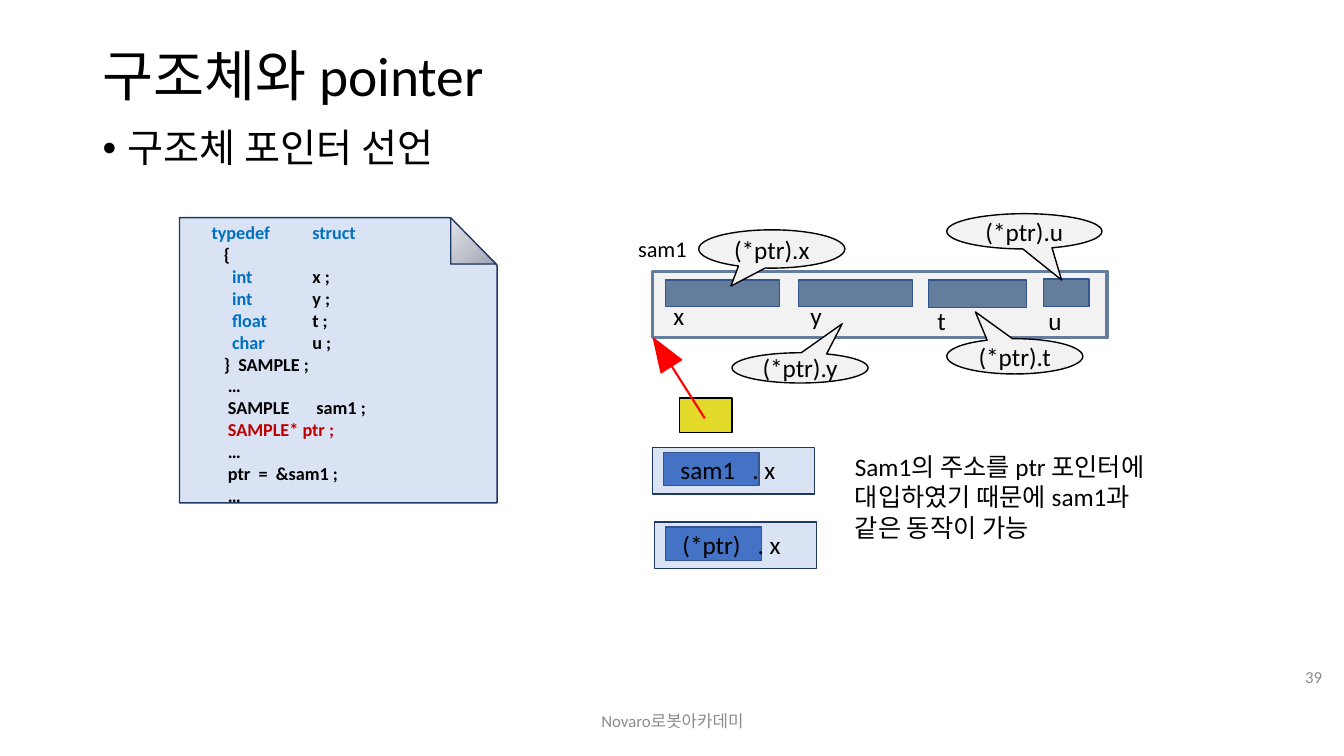
"""Build the slide on structures and pointers."""
from lxml.etree import SubElement
from pptx import Presentation
from pptx.dml.color import RGBColor
from pptx.enum.shapes import MSO_CONNECTOR, MSO_SHAPE as Shape
from pptx.enum.text import MSO_ANCHOR as Anchor, PP_ALIGN as Align
from pptx.oxml.ns import qn
from pptx.util import Inches, Pt

FONT = "Calibri"
BLACK = RGBColor(0x00, 0x00, 0x00)
GRAY = RGBColor(0x8C, 0x8C, 0x8C)
PALE = RGBColor(0xF2, 0xF2, 0xF2)
SLATE = RGBColor(0x65, 0x7D, 0x9D)
EDGE = RGBColor(0x32, 0x54, 0x91)
NAVY = RGBColor(0x20, 0x38, 0x64)
LIGHT_BLUE = RGBColor(0xDA, 0xE3, 0xF3)
BLUE = RGBColor(0x44, 0x72, 0xC4)
YELLOW = RGBColor(0xE2, 0xD9, 0x2A)
RED = RGBColor(0xFF, 0x00, 0x00)
KEYWORD = RGBColor(0x00, 0x70, 0xC0)
POINTER = RGBColor(0xC0, 0x00, 0x00)
FOLD_STOPS = [(0, "9DA1B3"), (50, "C4C6CF"), (100, "E2E3E7")]

CODE = [
    [("typedef\tstruct", KEYWORD)],
    [("   {", BLACK)],
    [("     ", BLACK), ("int", KEYWORD), ("\tx ;", BLACK)],
    [("     ", BLACK), ("int", KEYWORD), ("\ty ;", BLACK)],
    [("     float", KEYWORD), ("\tt ;", BLACK)],
    [("     char", KEYWORD), ("\tu ;", BLACK)],
    [("   }  SAMPLE ;", BLACK)],
    [("    …", BLACK)],
    [("    SAMPLE\t sam1 ;", BLACK)],
    [("    ", BLACK), ("SAMPLE* ptr ;", POINTER)],
    [("    …", BLACK)],
    [("    ptr  =  &sam1 ;", BLACK)],
    [("    …", BLACK)],
]
MEMBERS = [
    (6.6, 2.78, 1.13, 0.26),
    (7.92, 2.78, 1.13, 0.26),
    (9.21, 2.78, 0.97, 0.27),
    (10.35, 2.77, 0.45, 0.27),
]
CALLOUTS = [
    ("(*ptr).x", (6.93, 2.28, 1.45, 0.38), (-0.28, 0.97)),
    ("(*ptr).u", (9.39, 2.12, 1.54, 0.35), (0.24, 1.38)),
    ("(*ptr).y", (7.26, 3.5, 1.35, 0.3), (0.31, -1.46)),
    ("(*ptr).t", (9.39, 3.36, 1.35, 0.35), (-0.29, -1.26)),
]
LABELS = [("x", 6.58, 2.93), ("y", 7.94, 2.93), ("t", 9.2, 2.98), ("u", 10.3, 2.98)]
ACCESSES = [("sam1   . x", 6.47, 4.44), ("(*ptr)   . x", 6.49, 5.18)]


def add_span(para, text, size, color=BLACK, bold=False):
    """Add one formatted run to a paragraph."""
    span = para.add_run()
    span.text = text
    span.font.name = FONT
    span.font.size = Pt(size)
    span.font.bold = bold
    span.font.color.rgb = color


def add_text(page, text, place, size=18, color=BLACK, align=Align.LEFT, anchor=Anchor.TOP):
    """Add a wrapping text box with one paragraph and return the paragraph."""
    box = page.shapes.add_textbox(*map(Inches, place))
    frame = box.text_frame
    frame.word_wrap = True
    frame.vertical_anchor = anchor
    para = frame.paragraphs[0]
    para.alignment = align
    add_span(para, text, size, color)
    return para


def add_block(shapes, kind, place, fill, line, width=1):
    """Add a preset shape with a solid fill and an outline."""
    block = shapes.add_shape(kind, *map(Inches, place))
    block.shadow.inherit = False
    block.fill.solid()
    block.fill.fore_color.rgb = fill
    block.line.color.rgb = line
    block.line.width = Pt(width)
    return block


def add_callout(page, text, place, tip):
    """Add an oval callout whose tip is given relative to its centre."""
    callout = add_block(page.shapes, Shape.OVAL_CALLOUT, place, PALE, BLACK)
    callout.adjustments[0], callout.adjustments[1] = tip
    frame = callout.text_frame
    frame.word_wrap = False
    frame.vertical_anchor = Anchor.MIDDLE
    para = frame.paragraphs[0]
    para.alignment = Align.CENTER
    add_span(para, text, 18)


def add_bullet(para):
    """Give a paragraph a hanging round bullet."""
    props = para._p.get_or_add_pPr()
    props.set("marL", str(Inches(0.25)))
    props.set("indent", str(Inches(-0.25)))
    SubElement(props, qn("a:buFont")).set("typeface", "Arial")
    SubElement(props, qn("a:buChar")).set("char", "•")


def add_tab_stop(para, distance):
    """Give a paragraph one left tab stop."""
    stops = SubElement(para._p.get_or_add_pPr(), qn("a:tabLst"))
    stop = SubElement(stops, qn("a:tab"))
    stop.set("pos", str(distance))
    stop.set("algn", "l")


def add_pointer_arrow(page):
    """Add the red arrow from the pointer cell to the structure."""
    group = page.shapes.add_group_shape()
    head = add_block(group.shapes, Shape.ISOSCELES_TRIANGLE, (6.45, 3.33, 0.24, 0.33), RED, RED)
    head.rotation = 327.6
    ends = map(Inches, (6.66, 3.63, 6.99, 4.15))
    shaft = group.shapes.add_connector(MSO_CONNECTOR.STRAIGHT, *ends)
    shaft.line.color.rgb = RED
    shaft.line.width = Pt(1.5)
    SubElement(shaft._element.spPr, qn("a:effectLst"))


def add_fold(page):
    """Add the shaded folded corner of the code sheet."""
    fold = add_block(page.shapes, Shape.RIGHT_TRIANGLE, (4.47, 2.16, 0.45, 0.46), PALE, NAVY)
    fold.fill.gradient()
    fold.fill.gradient_angle = 135
    stops = fold._element.spPr.find(".//" + qn("a:gsLst"))
    for stop in list(stops):
        stops.remove(stop)
    for percent, color in FOLD_STOPS:
        stop = SubElement(stops, qn("a:gs"))
        stop.set("pos", str(percent * 1000))
        SubElement(stop, qn("a:srgbClr")).set("val", color)


def add_code(page):
    """Add the code sheet with its coloured listing."""
    add_block(page.shapes, Shape.SNIP_1_RECTANGLE, (1.78, 2.16, 3.15, 2.83), LIGHT_BLUE, NAVY)
    add_fold(page)
    box = page.shapes.add_textbox(*map(Inches, (2, 2.15, 2.83, 2.95)))
    frame = box.text_frame
    frame.word_wrap = True
    for number, parts in enumerate(CODE):
        para = frame.add_paragraph() if number else frame.paragraphs[0]
        add_tab_stop(para, Inches(1))
        for text, color in parts:
            add_span(para, text, 13, color, bold=True)


def add_structure(page):
    """Add the structure with its members, callouts and labels."""
    add_block(page.shapes, Shape.RECTANGLE, (6.47, 2.69, 4.51, 0.66), PALE, SLATE, 2.25)
    for place in MEMBERS:
        add_block(page.shapes, Shape.RECTANGLE, place, SLATE, EDGE)
    for text, place, tip in CALLOUTS:
        add_callout(page, text, place, tip)
    add_text(page, "sam1", (6.23, 2.28, 0.8, 0.37), 16)
    for text, left, top in LABELS:
        add_text(page, text, (left, top, 0.8, 0.4))


def add_access(page, text, left, top):
    """Add a member access expression with its variable highlighted."""
    add_block(page.shapes, Shape.RECTANGLE, (left, top, 1.61, 0.46), LIGHT_BLUE, NAVY)
    add_block(page.shapes, Shape.RECTANGLE, (left + 0.11, top + 0.05, 0.95, 0.33), BLUE, EDGE)
    add_text(page, text, (left + 0.18, top + 0.02, 1.41, 0.4))


def main():
    """Build and save the deck."""
    deck = Presentation()
    deck.slide_width, deck.slide_height = Inches(13.33), Inches(7.5)
    page = deck.slides.add_slide(deck.slide_layouts[6])
    title = add_text(page, "구조체와 pointer", (0.92, 0.4, 11.5, 0.75), 39.6, anchor=Anchor.MIDDLE)
    title.line_spacing = 0.9
    topic = add_text(page, "구조체 포인터 선언", (0.92, 1.23, 11.5, 5.53), 28)
    topic.line_spacing = 0.9
    topic.space_before = Pt(10)
    add_bullet(topic)
    add_text(page, "Novaro로봇아카데미", (4.42, 6.95, 4.5, 0.4), 12, GRAY, Align.CENTER, Anchor.MIDDLE)
    add_text(page, "39", (12.59, 6.51, 0.62, 0.4), 12, GRAY, Align.RIGHT, Anchor.MIDDLE)
    add_structure(page)
    add_block(page.shapes, Shape.RECTANGLE, (6.74, 3.95, 0.52, 0.34), YELLOW, BLACK)
    add_pointer_arrow(page)
    for text, left, top in ACCESSES:
        add_access(page, text, left, top)
    reason = "Sam1의 주소를 ptr 포인터에 대입하였기 때문에 sam1과 같은 동작이 가능"
    add_text(page, reason, (8.38, 4.43, 3.35, 1.01))
    add_code(page)
    deck.save("out.pptx")


main()
